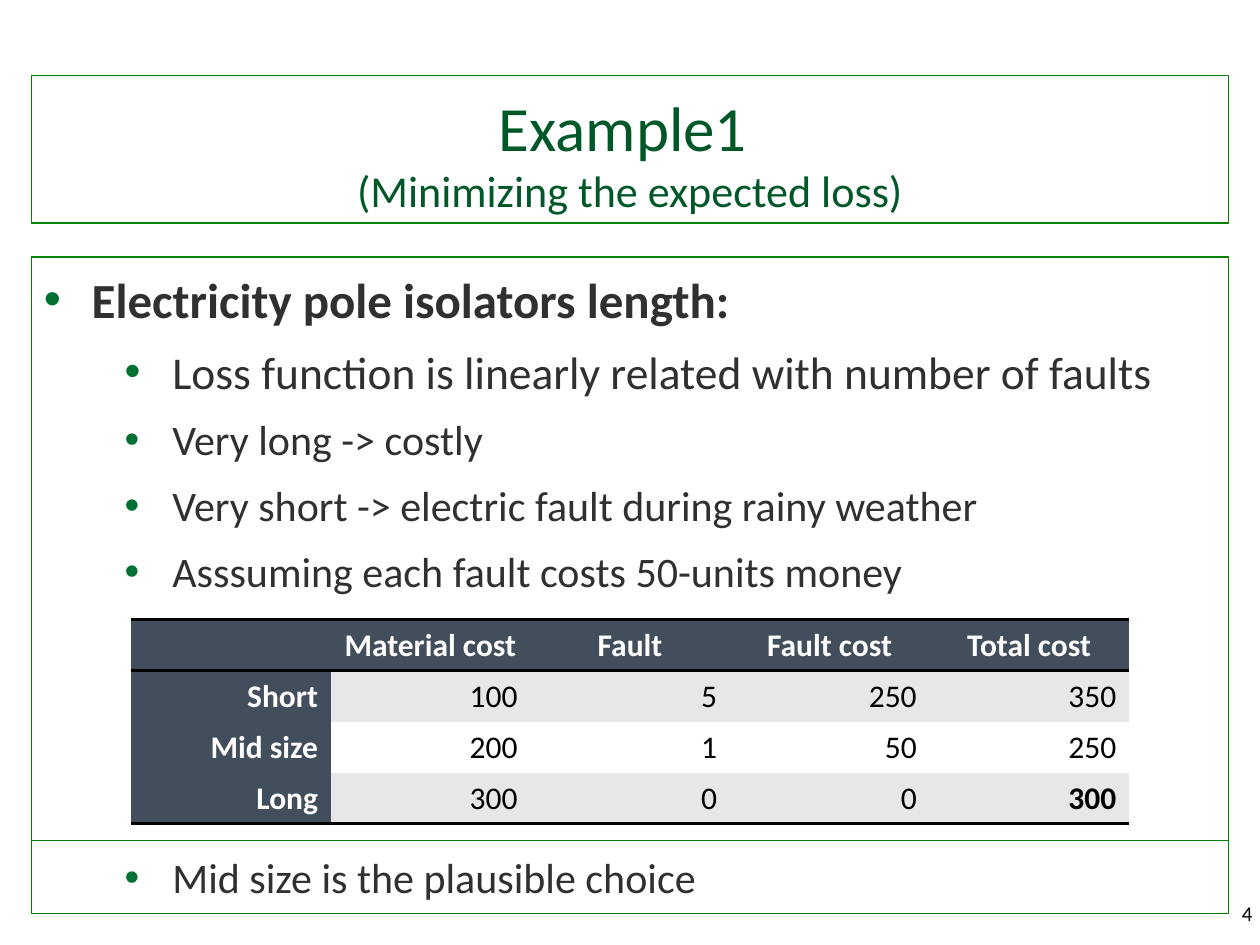
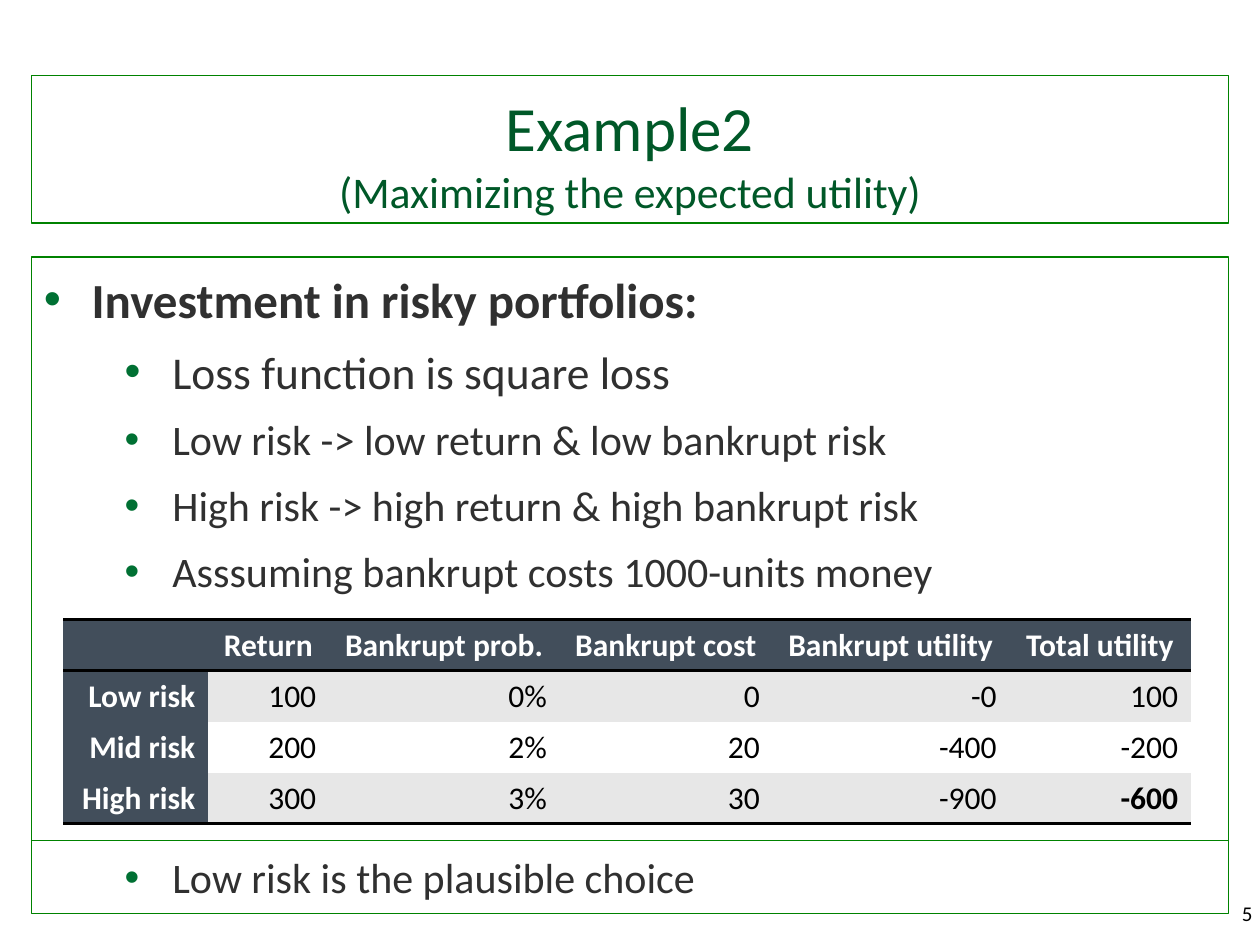
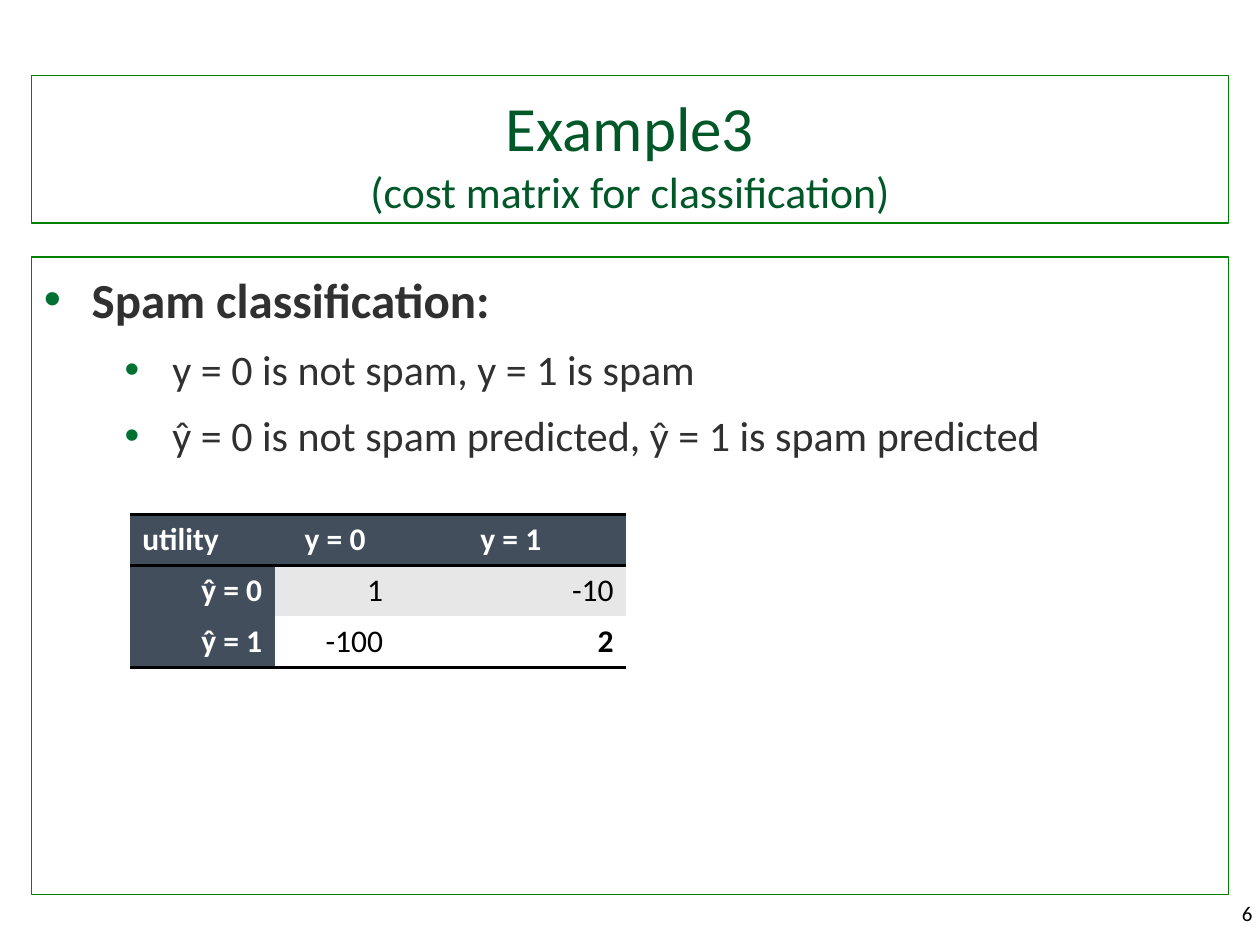
from lxml.etree import SubElement as Sub
from pptx import Presentation
from pptx.dml.color import RGBColor as Rgb
from pptx.enum.shapes import MSO_SHAPE as Shape
from pptx.enum.text import MSO_ANCHOR as Anchor, PP_ALIGN as Align
from pptx.oxml.ns import qn
from pptx.util import Inches, Pt

COLORS = {
    "title": "005828", "frame": "008200", "bullet": "007033", "body": "303030",
    "head": "424E5B", "band": "E7E7E7", "white": "FFFFFF", "black": "000000",
}
FONT = "Calibri"
COLS, ROWS = 40, 30          # grid of the slide
LEFT, SPAN = 1, 38           # shared frame columns
BODY, CLOSE = 8.16, 26.68    # top rows of the body and closing frames
LINE = 1.62                  # table row height in grid rows


def tint(name):
    return Rgb.from_string(COLORS[name])


class Deck:
    def __init__(self):
        self.prs = Presentation()
        self.prs.slide_width, self.prs.slide_height = Inches(10), Inches(7.5)
        self.slide = None

    def new(self):
        self.slide = self.prs.slides.add_slide(self.prs.slide_layouts[6])

    def wide(self, cols):
        return round(self.prs.slide_width * cols / COLS)

    def high(self, rows):
        return round(self.prs.slide_height * rows / ROWS)

    def place(self, x, y, w, h):
        return self.wide(x), self.high(y), self.wide(w), self.high(h)

    def style(self, run, size, color, bold=False):
        font = run.font
        font.name, font.size, font.bold = FONT, Pt(size), bold
        font.color.rgb = tint(color)

    def frame(self, y, h, anchor=Anchor.TOP):
        box = self.slide.shapes.add_shape(Shape.RECTANGLE, *self.place(LEFT, y, SPAN, h))
        box.shadow.inherit = False
        box.fill.background()
        box.line.color.rgb, box.line.width = tint("frame"), Pt(0.75)
        box.text_frame.word_wrap = True
        box.text_frame.vertical_anchor = anchor
        return box.text_frame

    def title(self, head, sub, size=25):
        para = self.frame(2.4, 4.68, Anchor.BOTTOM).paragraphs[0]
        para.text = f"{head}\v{sub}"
        para.alignment = Align.CENTER
        for run, pts in zip(para.runs, (36, size)):
            self.style(run, pts, "title")

    def bullets(self, y, h, items):
        """Each item is (text, level, size); the top level is bold."""
        text = self.frame(y, h)
        text.text = "\n".join(item[0] for item in items)
        for para, (_, level, size) in zip(text.paragraphs, items):
            para.level, para.alignment = level, Align.LEFT
            para.line_spacing, para.space_after = 1.1, Pt(6)
            props = para._p.get_or_add_pPr()
            props.set("marL", str(Inches(1.02 if level else 0.38)))
            props.set("indent", str(-Inches(0.38)))
            Sub(Sub(props, qn("a:buClr")), qn("a:srgbClr"), val=COLORS["bullet"])
            Sub(props, qn("a:buFont"), typeface="Arial")
            Sub(props, qn("a:buChar"), char="•")
            self.style(para.runs[0], size, "body", level == 0)

    def number(self, value):
        text = self.slide.shapes.add_textbox(*self.place(36.84, 28.4, 3.32, 1.6)).text_frame
        text.word_wrap = True
        text.text = str(value)
        text.paragraphs[0].alignment = Align.RIGHT
        self.style(text.paragraphs[0].runs[0], 12, "black")

    def rules(self, cell, top, base):
        props = cell._tc.get_or_add_tcPr()
        for side, shown in (("L", False), ("R", False), ("T", top), ("B", base)):
            line = Sub(props, qn(f"a:ln{side}"), w=str(Pt(2) if shown else 0))
            if shown:
                Sub(Sub(line, qn("a:solidFill")), qn("a:srgbClr"), val=COLORS["black"])
            else:
                Sub(line, qn("a:noFill"))

    def table(self, x, y, widths, rows):
        last, end = len(rows) - 1, len(widths) - 1
        area = self.place(x, y, sum(widths), LINE * len(rows))
        grid = self.slide.shapes.add_table(len(rows), len(widths), *area).table
        grid.first_row = grid.horz_banding = False
        for col, width in zip(grid.columns, widths):
            col.width = self.wide(width)
        for r, row in enumerate(rows):
            for c, word in enumerate(row):
                cell = grid.cell(r, c)
                label = r == 0 or c == 0
                self.rules(cell, r <= 1, r in (0, last))
                cell.fill.solid()
                cell.fill.fore_color.rgb = tint("head" if label else "band" if r % 2 else "white")
                para = cell.text_frame.paragraphs[0]
                para.text = word
                para.alignment = Align.RIGHT if r else Align.CENTER if c else Align.LEFT
                for run in para.runs:
                    self.style(run, 18, "white" if label else "black",
                               label or (r, c) == (last, end))


NARROW = [4.6, 3.84, 7.32]   # leading columns of the last two tables

SLIDES = [
    dict(
        title=("Example1 ", "(Minimizing the expected loss)", 25.2),
        items=[
            ("Electricity pole isolators length:", 0, 28),
            ("Loss function is linearly related with number of faults", 1, 26),
            ("Very long -> costly", 1, 24),
            ("Very short -> electric fault during rainy weather", 1, 24),
            ("Asssuming each fault costs 50-units money", 1, 24),
        ],
        table=(4.16, 19.68, [6.336] * 5, [
            ["", "Material cost", "Fault", "Fault cost", "Total cost"],
            ["Short", "100", "5", "250", "350"],
            ["Mid size", "200", "1", "50", "250"],
            ["Long", "300", "0", "0", "300"],
        ]),
        close="Mid size is the plausible choice",
    ),
    dict(
        title=("Example2", "(Maximizing the expected utility)"),
        items=[
            ("Investment in risky portfolios:", 0, 28),
            ("Loss function is square loss", 1, 26),
            ("Low risk -> low return & low bankrupt risk", 1, 24),
            ("High risk -> high return & high bankrupt risk", 1, 24),
            ("Asssuming bankrupt costs 1000-units money", 1, 24),
        ],
        table=(2, 19.68, NARROW + [6.76, 7.52, 5.76], [
            ["", "Return", "Bankrupt prob.", "Bankrupt cost", "Bankrupt utility", "Total utility"],
            ["Low risk", "100", "0%", "0", "-0", "100"],
            ["Mid risk", "200", "2%", "20", "-400", "-200"],
            ["High risk", "300", "3%", "30", "-900", "-600"],
        ]),
        close="Low risk is the plausible choice",
    ),
    dict(
        title=("Example3", "(cost matrix for classification)"),
        items=[
            ("Spam classification:", 0, 28),
            ("y = 0 is not spam, y = 1 is spam", 1, 24),
            ("ŷ = 0 is not spam predicted, ŷ = 1 is spam predicted", 1, 24),
        ],
        table=(4.12, 16.32, NARROW, [
            ["utility", "y = 0", "y = 1"],
            ["ŷ = 0", "1", "-10"],
            ["ŷ = 1", "-100", "2"],
        ]),
        close=None,
    ),
]


def main():
    deck = Deck()
    for page, data in enumerate(SLIDES, 4):
        deck.new()
        deck.title(*data["title"])
        base = CLOSE if data["close"] else 28.4
        deck.bullets(BODY, base - BODY, data["items"])
        deck.number(page)
        deck.table(*data["table"])
        if data["close"]:
            deck.bullets(CLOSE, 2.32, [(data["close"], 1, 24)])
    deck.prs.save("out.pptx")


if __name__ == "__main__":
    main()
